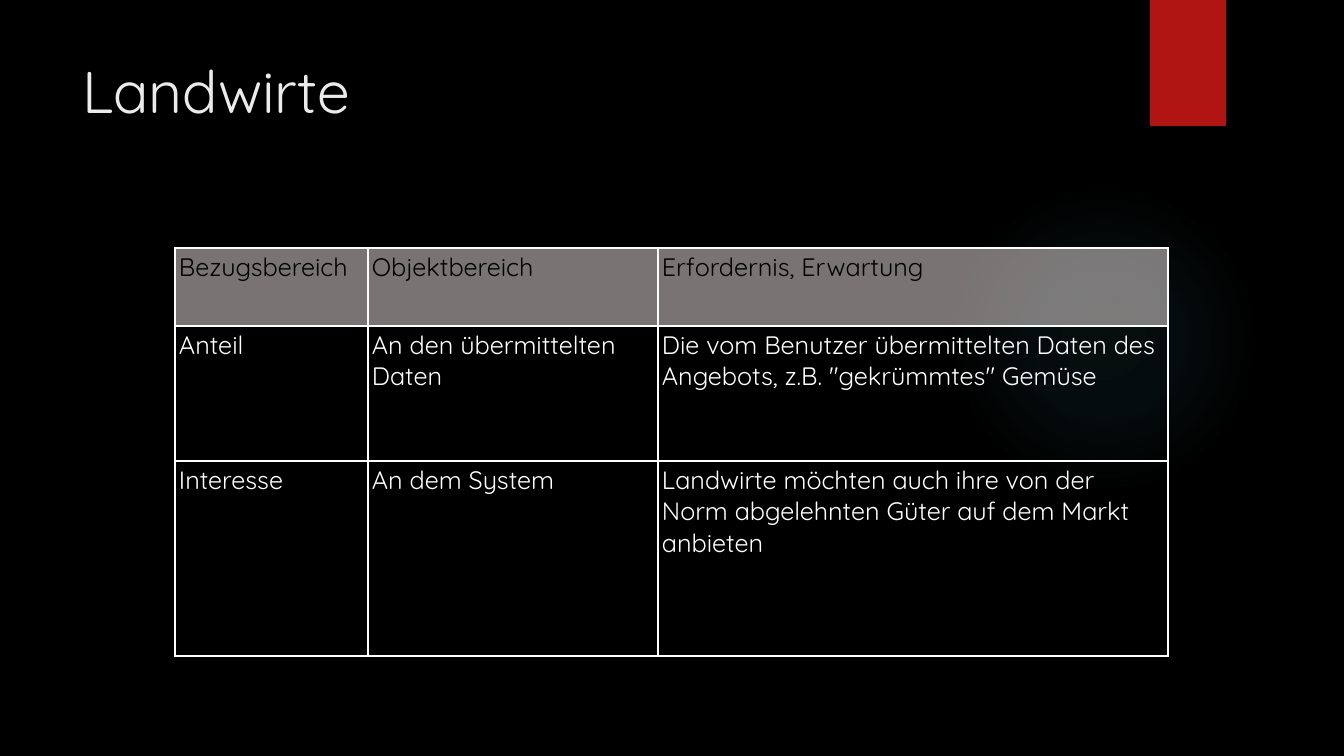
from pptx import Presentation
from pptx.dml.color import RGBColor
from pptx.enum.shapes import MSO_SHAPE as Shape
from pptx.enum.text import MSO_ANCHOR as Anchor, MSO_AUTO_SIZE as AutoSize, PP_ALIGN as Align
from pptx.oxml import parse_xml
from pptx.oxml.ns import nsdecls, qn
from pptx.util import Pt
from lxml.etree import SubElement

PX = 12192000 / 1344
BLACK = RGBColor(0x00, 0x00, 0x00)
WHITE = RGBColor(0xFF, 0xFF, 0xFF)
TITLE_GREY = RGBColor(0xEB, 0xEB, 0xEB)
RED = RGBColor(0xB0, 0x15, 0x13)
TEAL = RGBColor(0x50, 0xB9, 0xC1)
HEADER_TINT = RGBColor(0xF2, 0xE8, 0xE7)

STAKEHOLDER_ROWS = [
    ["Bezugsbereich", "Objektbereich", "Erfordernis, Erwartung"],
    ["Anteil", "An den übermittelten Daten",
     'Die vom Benutzer übermittelten Daten des Angebots, z.B. "gekrümmtes" Gemüse'],
    ["Interesse", "An dem System",
     "Landwirte möchten auch ihre von der Norm abgelehnten Güter auf dem Markt anbieten"],
]


def px(length):
    return round(length * PX)


def assign(target, values):
    for name, value in values.items():
        setattr(target, name, value)


class SlideBuilder:
    font_name = "Quicksand"
    cell_margins = dict(margin_left=px(4), margin_right=px(4),
                        margin_top=px(3), margin_bottom=px(3))

    def __init__(self, deck):
        self.slide = deck.slides.add_slide(deck.slide_layouts[5])
        background = self.slide.background.fill
        background.solid()
        background.fore_color.rgb = BLACK

    def add_text(self, frame, text, size, color):
        paragraph = frame.paragraphs[0]
        paragraph.alignment = Align.LEFT
        run = paragraph.add_run()
        run.text = text
        assign(run.font, dict(name=self.font_name, size=Pt(size), bold=False))
        run.font.color.rgb = color

    def title(self, text, left, top, width, height):
        heading = self.slide.shapes.title
        assign(heading, dict(left=px(left), top=px(top),
                             width=px(width), height=px(height)))
        assign(heading.text_frame, dict(vertical_anchor=Anchor.TOP, word_wrap=True,
                                        auto_size=AutoSize.NONE))
        self.add_text(heading.text_frame, text, 42, TITLE_GREY)

    def shape(self, kind, box, color):
        item = self.slide.shapes.add_shape(kind, *map(px, box))
        item.shadow.inherit = False
        item.line.fill.background()
        item.fill.solid()
        item.fill.fore_color.rgb = color
        return item

    def glow(self, box, color, stops):
        """Draw a circle that fades outwards; stops are (position, opacity) in percent."""
        circle = self.shape(Shape.OVAL, box, color)
        stop_xml = "".join(
            f'<a:gs pos="{position * 1000}"><a:srgbClr val="{color}">'
            f'<a:alpha val="{opacity * 1000}"/></a:srgbClr></a:gs>'
            for position, opacity in stops)
        gradient = parse_xml(
            f'<a:gradFill {nsdecls("a")}><a:gsLst>{stop_xml}</a:gsLst><a:path path="circle">'
            '<a:fillToRect l="50000" t="50000" r="50000" b="50000"/></a:path></a:gradFill>')
        properties = circle.element.spPr
        properties.replace(properties.find(qn("a:solidFill")), gradient)

    def cell_borders(self, cell, color):
        properties = cell._tc.get_or_add_tcPr()
        for side in ("lnL", "lnR", "lnT", "lnB"):
            border = SubElement(properties, qn(f"a:{side}"), w=str(Pt(1)))
            fill = SubElement(border, qn("a:solidFill"))
            SubElement(fill, qn("a:srgbClr"), val=str(color))

    def cell(self, cell, text, is_header):
        assign(cell, self.cell_margins)
        cell.vertical_anchor = Anchor.TOP
        self.cell_borders(cell, WHITE)
        if is_header:
            cell.fill.solid()
            cell.fill.fore_color.rgb = HEADER_TINT
            tint = cell._tc.tcPr.find(f"{qn('a:solidFill')}/{qn('a:srgbClr')}")
            SubElement(tint, qn("a:alpha"), val="50000")
        else:
            cell.fill.background()
        self.add_text(cell.text_frame, text, 18, BLACK if is_header else WHITE)

    def table(self, rows, left, top, widths, heights):
        box = map(px, (left, top, sum(widths), sum(heights)))
        grid = self.slide.shapes.add_table(len(heights), len(widths), *box).table
        assign(grid, dict(first_row=False, horz_banding=False))
        for column, width in zip(grid.columns, widths):
            column.width = px(width)
        for index, (row, height, texts) in enumerate(zip(grid.rows, heights, rows)):
            row.height = px(height)
            for cell, text in zip(row.cells, texts):
                self.cell(cell, text, is_header=index == 0)


def main():
    deck = Presentation()
    assign(deck, dict(slide_width=px(1344), slide_height=px(756)))
    builder = SlideBuilder(deck)
    builder.glow((949, 184, 310, 310), TEAL, [(0, 7), (36, 6), (69, 0)])
    builder.shape(Shape.RECTANGLE, (1150, 0, 76, 126), RED)
    builder.title("Landwirte", 72, 50, 1037, 154)
    builder.table(STAKEHOLDER_ROWS, 175, 248, widths=(193, 290, 510), heights=(78, 135, 195))
    deck.save("out.pptx")


if __name__ == "__main__":
    main()
